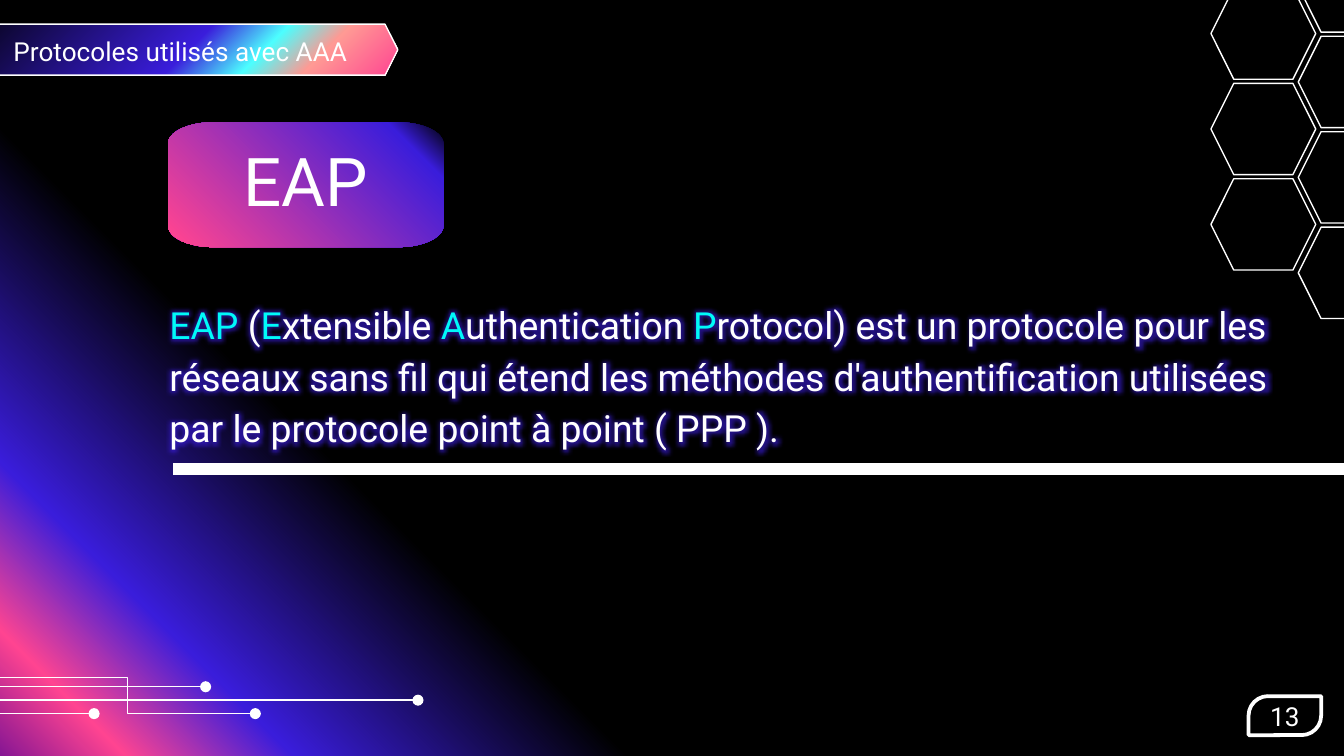
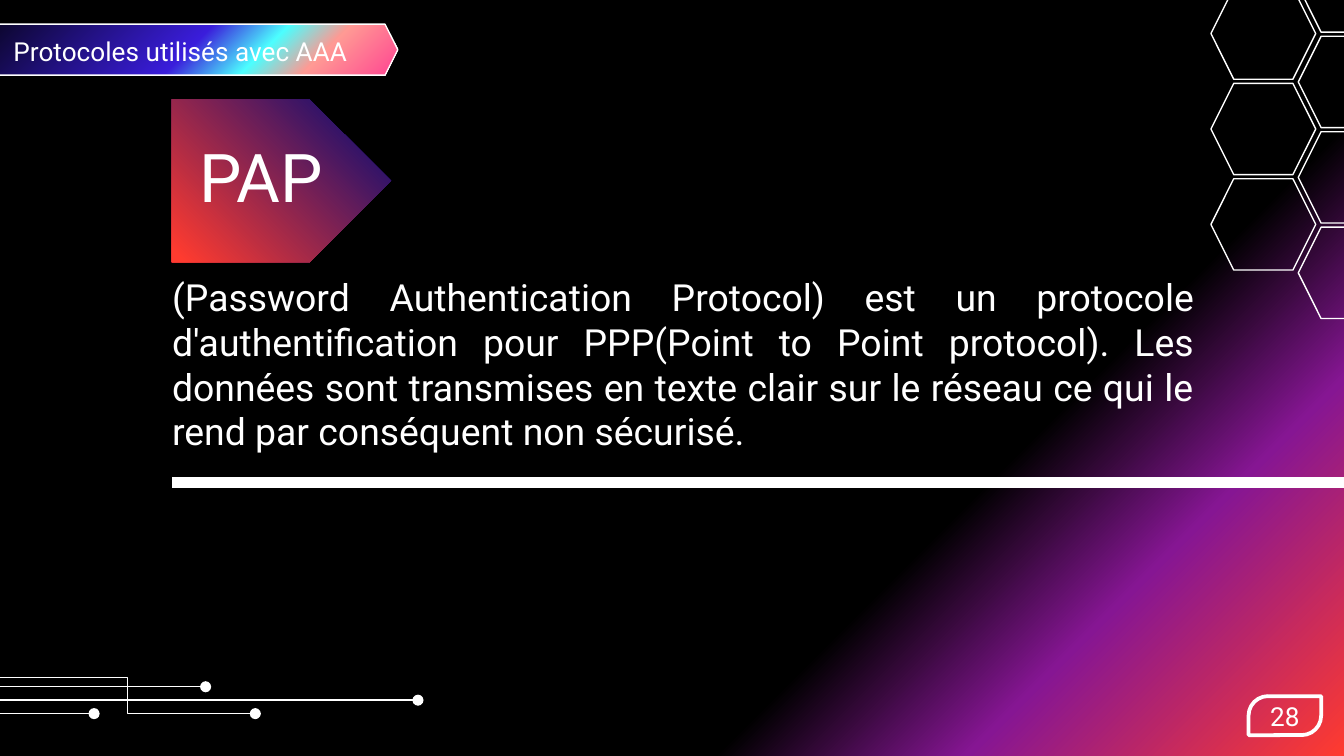
from math import cos, pi, sin

from pptx import Presentation
from pptx.dml.color import RGBColor
from pptx.enum.shapes import MSO_CONNECTOR as CONN, MSO_SHAPE as SHAPE
from pptx.enum.text import MSO_ANCHOR as ANCHOR, MSO_AUTO_SIZE as FIT, PP_ALIGN as ALIGN
from pptx.oxml import parse_xml
from pptx.oxml.ns import nsdecls, qn
from pptx.util import Pt

PX = 9144  # 100 px to the inch
W = 1000
FONT = "Roboto"
C = {
    "white": "FFFFFF", "black": "000000", "cyan": "00F9F9", "aqua": "4DFFFF",
    "pink": "FF4491", "salmon": "FF9A94", "blue": "3A1DDB", "navy": "1D0F6E",
    "purple": "861693", "red": "FF3B2F",
}
BOTTOM_LEFT = 'l="0" t="100000" r="100000" b="0"'
BOTTOM_RIGHT = 'l="100000" t="100000" r="0" b="0"'

BAND_STOPS = [(0, "pink"), (19, "salmon"), (31, "aqua"), (46, "blue"), (100, "black")]
EAP_BG = [(0, "purple"), (6, "pink"), (14, "blue"), (30, "black"), (100, "black")]
PAP_BG = [(0, "red"), (18, "purple"), (30, "black"), (100, "black")]
EAP_STOPS = [(0, "aqua"), (3, "pink"), (86, "blue"), (100, "black")]
PAP_STOPS = [(3, "red"), (88, "navy")]

EAP_TEXT = [
    ("EAP", "cyan"), (" (", "white"), ("E", "cyan"), ("xtensible ", "white"),
    ("A", "cyan"), ("uthentication ", "white"), ("P", "cyan"),
    ("rotocol) est un protocole pour les réseaux sans fil qui étend les méthodes "
     "d'authentification utilisées par le protocole point à point ( PPP ).", "white"),
]
PAP_TEXT = [
    ("(Password Authentication Protocol) est un protocole d'authentification pour "
     "PPP(Point to Point protocol). Les données sont transmises en texte clair sur "
     "le réseau ce qui le rend par conséquent non sécurisé.", "white"),
]


def px(*values):
    return [round(v * PX) for v in values]


def rgb(name):
    return RGBColor.from_string(C[name])


def radial(owner, fill, stops, corner):
    """Fill a shape or background with a gradient that spreads from one corner."""
    fill.gradient()
    old = next(owner.element.iter(qn("a:gradFill")))
    gs = "".join(f'<a:gs pos="{pos * 1000}"><a:srgbClr val="{C[name]}"/></a:gs>'
                 for pos, name in stops)
    old.getparent().replace(old, parse_xml(
        f'<a:gradFill {nsdecls("a")} rotWithShape="1"><a:gsLst>{gs}</a:gsLst>'
        f'<a:path path="circle"><a:fillToRect {corner}/></a:path></a:gradFill>'))


def outline(sp, width):
    sp.shadow.inherit = False
    sp.line.color.rgb = rgb("white")
    sp.line.width = Pt(width)


def hollow(shapes, kind, box, width):
    sp = shapes.add_shape(kind, *px(*box))
    sp.fill.background()
    outline(sp, width)
    return sp


def line(shapes, kind, ends, width, dot=False):
    cx = shapes.add_connector(kind, *px(*ends))
    cx.line.color.rgb = rgb("white")
    cx.line.width = Pt(width)
    if dot:
        ln = next(cx.element.iter(qn("a:ln")))
        ln.append(parse_xml(f'<a:tailEnd {nsdecls("a")} type="oval"/>'))
    next(cx.element.iter(qn("p:spPr"))).append(parse_xml(f'<a:effectLst {nsdecls("a")}/>'))


def style(r, size, color="white"):
    r.font.name, r.font.size, r.font.color.rgb = FONT, Pt(size), rgb(color)


def set_insets(tf, inset):
    tf.margin_left = tf.margin_top = tf.margin_right = tf.margin_bottom = inset * PX


def write(sp, text, size, align, inset=None):
    tf = sp.text_frame
    tf.text = text
    tf.word_wrap = True
    tf.vertical_anchor = ANCHOR.MIDDLE
    if inset is not None:
        set_insets(tf, inset)
    p = tf.paragraphs[0]
    p.alignment = align
    style(p.runs[0], size)
    return tf


def place(sp, box):
    sp.left, sp.top, sp.width, sp.height = px(*box)


def honeycomb(s, x, y):
    g = s.shapes.add_group_shape().shapes
    for dx, dy, count in ((65, -35, 4), (0, 0, 3)):
        for i in range(count):
            hollow(g, SHAPE.HEXAGON, (x + dx, y + dy + 71 * i, 78, 68), 0.75)


def circuit(s, x, y):
    g = s.shapes.add_group_shape().shapes
    for dy, length in ((17, 311), (7, 153), (27, 70)):
        line(g, CONN.STRAIGHT, (x, y + dy, x + length, y + dy), 0.75, dot=True)
    line(g, CONN.ELBOW, (x, y, x + 190, y + 27), 0.75, dot=True)


def header(s, x, y, w, h):
    band = s.shapes.add_shape(SHAPE.HEXAGON, *px(x, y, w, h))
    radial(band, band.fill, BAND_STOPS, BOTTOM_RIGHT)
    outline(band, 0.75)
    title = s.shapes.title
    title.element.getparent().append(title.element)  # bring in front of the band
    place(title, (x + 46, y - 3, w + 16, h + 7))
    tf = write(title, "Protocoles utilisés avec AAA", 14, ALIGN.LEFT, 10)
    tf.vertical_anchor = ANCHOR.BOTTOM
    tf.auto_size = FIT.NONE


def page_number(s, number, box):
    sp = hollow(s.shapes, SHAPE.ROUND_2_DIAG_RECTANGLE, box, 2)
    sp.adjustments[0], sp.adjustments[1] = 0.5, 0
    write(sp, str(number), 14, ALIGN.CENTER)


def protocol_slide(prs, number, bg, corner):
    s = prs.slides.add_slide(prs.slide_layouts[1])
    radial(s, s.background.fill, bg, corner)
    honeycomb(s, 901, -9)
    circuit(s, 0, 504)
    header(s, -46, 18, 342, 38)
    page_number(s, number, (929, 518, 54, 29))
    return s


def body(s, runs, box, align):
    sp = s.placeholders[1]
    place(sp, box)
    tf = sp.text_frame
    tf.word_wrap, tf.auto_size = True, FIT.NONE
    p = tf.paragraphs[0]
    pPr = p._p.get_or_add_pPr()
    pPr.set("marL", "0")
    pPr.set("indent", "0")
    pPr.append(parse_xml(f'<a:buNone {nsdecls("a")}/>'))
    p.alignment, p.space_before = align, Pt(0)
    for text, color in runs:
        r = p.add_run()
        r.text = text
        style(r, 20, color)
    return tf


def glow(tf):
    for fill in list(tf.paragraphs[0]._p.iter(qn("a:solidFill"))):
        fill.addnext(parse_xml(
            f'<a:effectLst {nsdecls("a")}><a:glow rad="101600"><a:srgbClr val="{C["blue"]}">'
            '<a:alpha val="60000"/></a:srgbClr></a:glow></a:effectLst>'))


def rounded_plate(s, x, y, w, h, rx, ry):
    """Draw a rectangle whose corners are quarter ellipses."""
    centres = ((x + w - rx, y + h - ry), (x + rx, y + h - ry),
               (x + rx, y + ry), (x + w - rx, y + ry))
    steps = 10
    points = []
    for quarter, (cx, cy) in enumerate(centres):
        for i in range(steps + 1):
            a = (quarter + i / steps) * pi / 2
            points.append(px(cx + rx * cos(a), cy + ry * sin(a)))
    fb = s.shapes.build_freeform(*points[0])
    fb.add_line_segments(points[1:], close=True)
    return fb.convert_to_shape()


def name_plate(sp, text, stops):
    sp.shadow.inherit = False
    sp.line.fill.background()
    radial(sp, sp.fill, stops, BOTTOM_LEFT)
    tf = write(sp, text, 36, ALIGN.CENTER, 17)
    tf.paragraphs[0].line_spacing = 0.9


def eap_slide(prs):
    s = protocol_slide(prs, 13, EAP_BG, BOTTOM_LEFT)
    line(s.shapes, CONN.STRAIGHT, (129, 349, 1008, 349), 6)
    tf = body(s, EAP_TEXT, (116, 213, 854, 132), ALIGN.LEFT)
    set_insets(tf, 10)
    tf.vertical_anchor = ANCHOR.BOTTOM
    tf.paragraphs[0].line_spacing = 1.15
    glow(tf)
    name_plate(rounded_plate(s, 125, 91, 205, 93, 34, 16), "EAP", EAP_STOPS)


def pap_slide(prs):
    s = protocol_slide(prs, 28, PAP_BG, BOTTOM_RIGHT)
    line(s.shapes, CONN.STRAIGHT, (128, 359, W, 359), 6)
    body(s, PAP_TEXT, (118, 199, 781, 145), ALIGN.JUSTIFY)
    plate = s.shapes.add_shape(SHAPE.PENTAGON, *px(128, 74, 163, 121))
    name_plate(plate, "PAP", PAP_STOPS)


def main():
    prs = Presentation()
    prs.slide_width = W * PX
    prs.slide_height = W * PX * 9 // 16
    eap_slide(prs)
    pap_slide(prs)
    prs.save("out.pptx")


if __name__ == "__main__":
    main()
